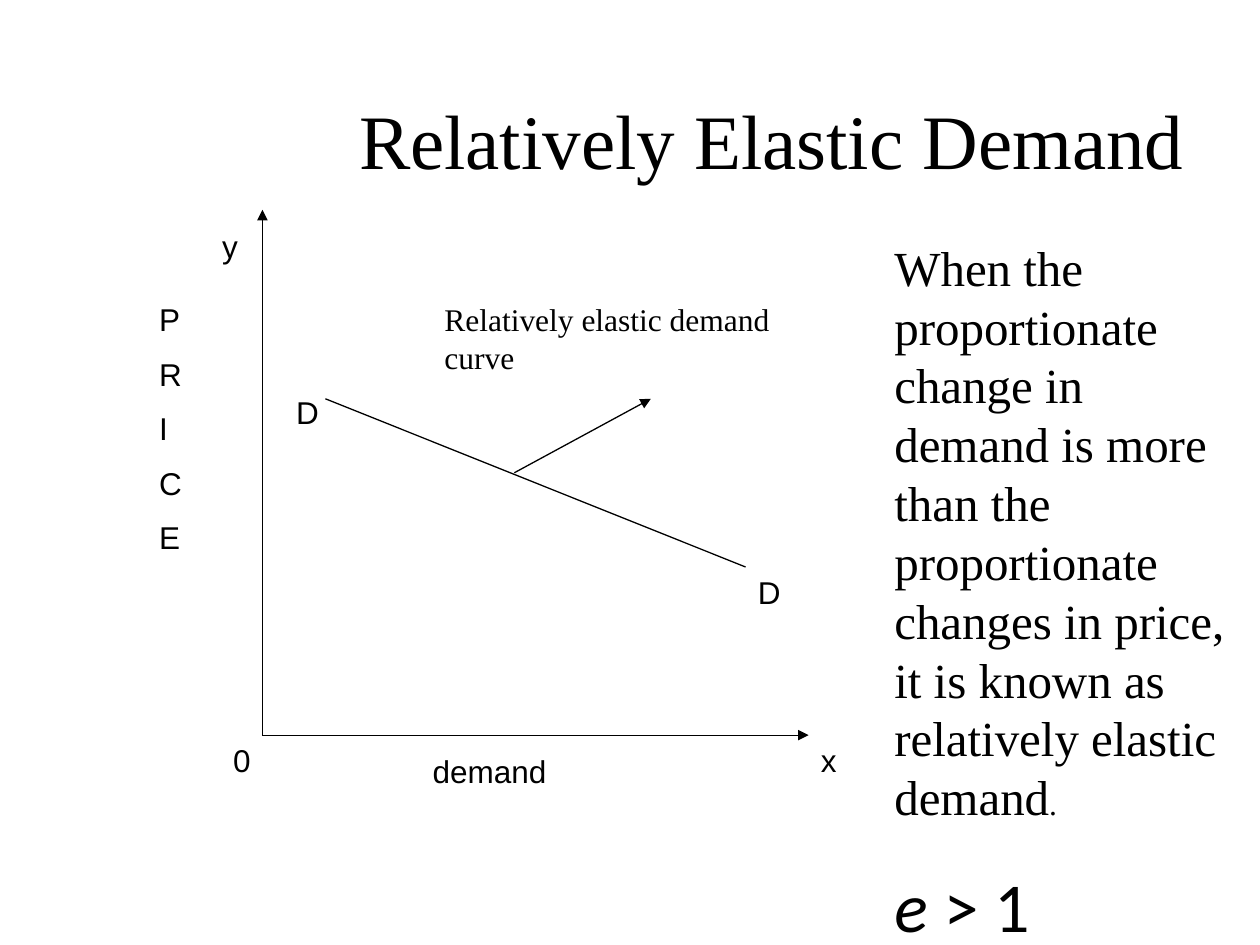
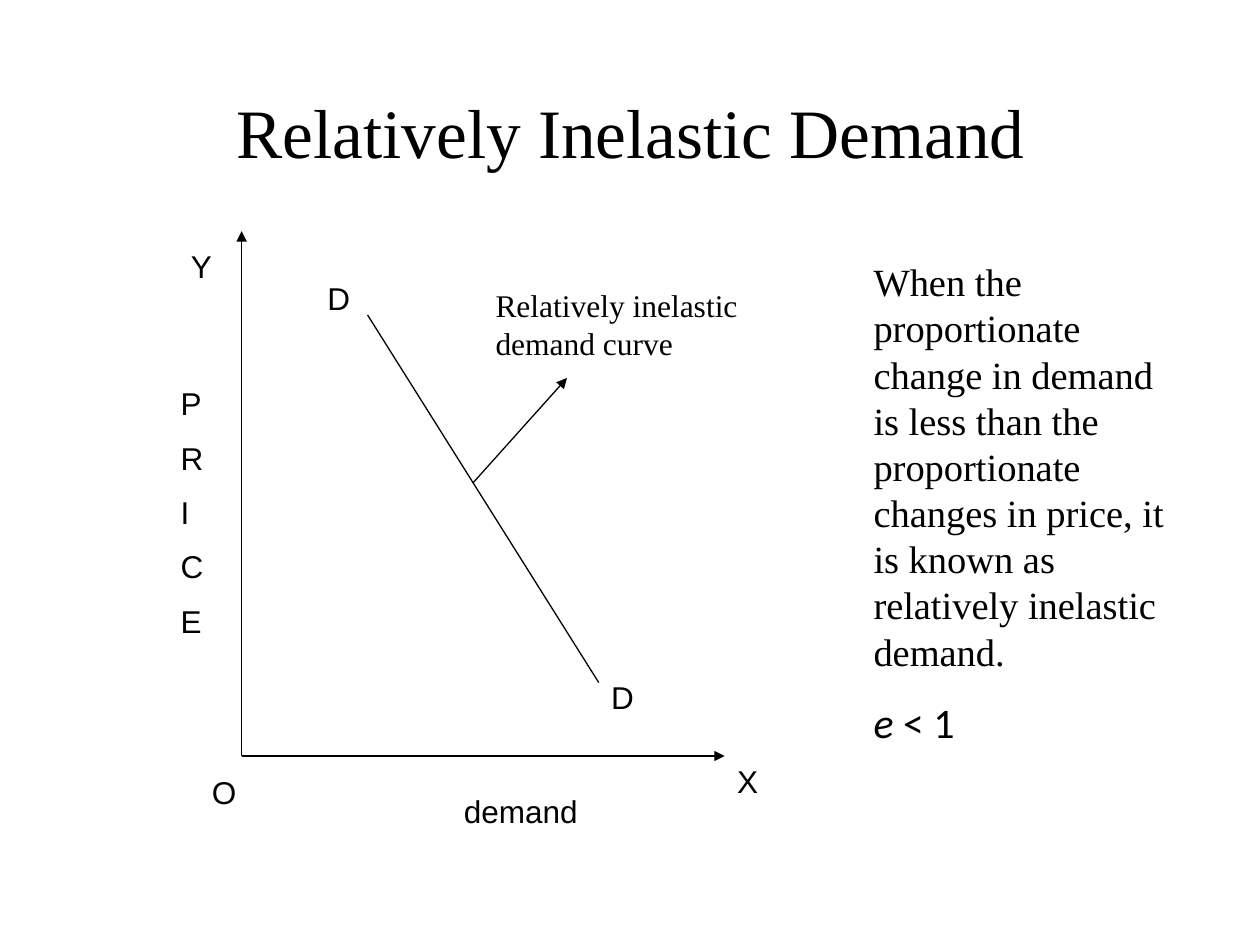
"""Build two slides on relatively elastic and inelastic demand."""
import pptx
import pptx.dml.color
import pptx.enum.shapes
import pptx.enum.text
import pptx.util
from lxml import etree
from pptx.oxml.ns import qn

Cm = pptx.util.Cm
Pt = pptx.util.Pt
HUES = {"ink": "000000", "page": "FFFFFF"}
SERIF, SANS, MATH = "Times New Roman", "Arial", "Calibri"


class Deck:
    def __init__(self):
        self.file = pptx.Presentation()
        self.file.slide_width, self.file.slide_height = Cm(25.4), Cm(19.05)
        self.ink = pptx.dml.color.RGBColor.from_string(HUES["ink"])
        self.page = pptx.dml.color.RGBColor.from_string(HUES["page"])
        self.slide = None

    def start(self):
        self.slide = self.file.slides.add_slide(self.file.slide_layouts[6])
        fill = self.slide.background.fill
        fill.solid()
        fill.fore_color.rgb = self.page

    def text(self, box, paras):
        frame = self.slide.shapes.add_textbox(*map(Cm, box)).text_frame
        frame.word_wrap = True
        for pos, runs in enumerate(paras):
            para = frame.add_paragraph() if pos else frame.paragraphs[0]
            if pos:
                para.space_before = Pt(round(runs[0][1] * 0.53, 1))
            for words, size, face, slant in runs:
                run = para.add_run()
                run.text = words
                run.font.size = Pt(size)
                run.font.name = face
                run.font.italic = slant
                run.font.color.rgb = self.ink
        return frame

    def title(self, box, words, size):
        frame = self.text(box, [[(words, size, SERIF, False)]])
        frame.vertical_anchor = pptx.enum.text.MSO_ANCHOR.MIDDLE
        frame.paragraphs[0].alignment = pptx.enum.text.PP_ALIGN.CENTER

    def label(self, left, top, width, words, face=SANS):
        lines = words.split("\n")
        box = (left, top, width, 1.02 + 1.44 * (len(lines) - 1))
        self.text(box, [[(line, 18, face, False)] for line in lines])

    def line(self, start, end, arrow=False):
        kind = pptx.enum.shapes.MSO_CONNECTOR.STRAIGHT
        line = self.slide.shapes.add_connector(kind, *map(Cm, start + end))
        line.line.color.rgb = self.ink
        line.line.width = Pt(0.75)
        props = line._element.spPr
        etree.SubElement(props, qn("a:effectLst"))
        if arrow:
            etree.SubElement(props.find(qn("a:ln")), qn("a:tailEnd"), type="triangle")

    def graph(self, zero, top, right, curve, hint):
        self.line(zero, (zero[0], top), True)
        self.line(zero, (right, zero[1]), True)
        self.line(*curve)
        self.line(*hint, True)


def main():
    deck = Deck()

    deck.start()
    deck.title((5.72, 1.65, 19.69, 2.31), "Relatively Elastic Demand", 44)
    deck.graph((5.29, 14.82), 4.23, 16.3,
               ((6.56, 8.04), (15.03, 11.43)), ((10.37, 9.53), (13.12, 8.04)))
    deck.label(8.71, 5.93, 7.41, "Relatively elastic demand curve", SERIF)
    for spot in [
        (2.96, 5.93, 1.27, "P\nR\nI\nC\nE"),
        (8.47, 15.03, 5.51, "demand"),
        (4.45, 14.82, 0.85, "0"),
        (16.3, 14.82, 1.27, "x"),
        (4.23, 4.45, 0.85, "y"),
        (5.72, 7.8, 0.85, "D"),
        (15.03, 11.43, 0.64, "D"),
    ]:
        deck.label(*spot)
    deck.text((17.78, 4.66, 7.2, 14.78), [
        [("When the proportionate change in demand is more than the "
          "proportionate changes in price, it is known as relatively "
          "elastic demand", 28, SERIF, False), (".", 18, SERIF, False)],
        [("e ", 40, MATH, True), ("> 1", 40, MATH, False)],
    ])

    deck.start()
    deck.title((3.51, 1.93, 18.42, 1.42), "Relatively Inelastic Demand", 39.6)
    deck.graph((4.87, 15.24), 4.66, 14.61,
               ((7.41, 6.35), (12.07, 13.76)), ((9.53, 9.74), (11.43, 7.62)))
    deck.label(9.74, 5.65, 5.93, "Relatively inelastic demand curve", SERIF)
    for spot in [
        (3.39, 7.62, 0.64, "P\nR\nI\nC\nE"),
        (9.1, 15.85, 3.39, "demand"),
        (4.02, 15.45, 1.27, "O"),
        (14.61, 15.24, 1.27, "X"),
        (3.6, 4.85, 1.07, "Y"),
        (6.35, 5.5, 1.07, "D"),
        (12.07, 13.55, 1.27, "D"),
    ]:
        deck.label(*spot)
    deck.text((17.36, 5.08, 6.77, 11.66), [
        [("When the proportionate change in demand is less than the "
          "proportionate changes in price, it is known as relatively "
          "inelastic demand.", 22, SERIF, False)],
        [("e", 24, MATH, True), (" < 1", 24, MATH, False)],
    ])

    deck.file.save("out.pptx")


if __name__ == "__main__":
    main()
